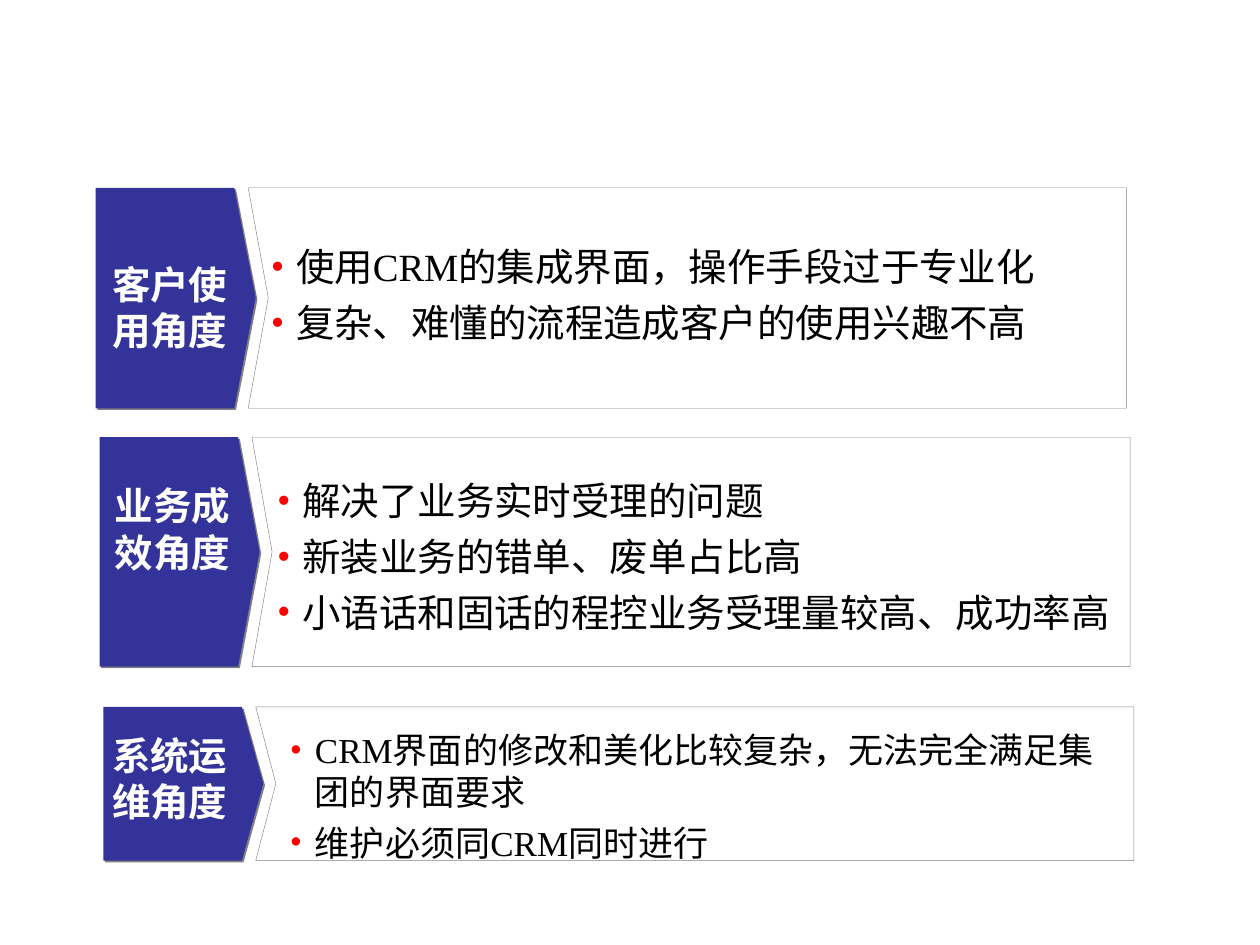
from collections import namedtuple

from lxml import etree
from pptx import Presentation
from pptx.dml.color import RGBColor
from pptx.enum.text import MSO_ANCHOR
from pptx.oxml.ns import qn
from pptx.util import Inches, Pt

BLUE = RGBColor(0x33, 0x33, 0x99)
GREY = RGBColor(0x80, 0x80, 0x80)
RED = RGBColor(0xFF, 0x00, 0x00)
WHITE = RGBColor(0xFF, 0xFF, 0xFF)
BLACK = RGBColor(0x00, 0x00, 0x00)
MIDDLE = MSO_ANCHOR.MIDDLE
LABEL_FONT = "Arial"
POINT_FONT = "Times New Roman"

# Columns, measured from the left edge of a row
SHOULDER = 1.1
TIP = 1.27
PANEL_LEFT = 1.21
NOTCH = 1.37
PANEL_RIGHT = 8.18
INDENT = Inches(0.2)

# Boxes are (left, top, width, height) in inches
Row = namedtuple("Row", "left top height label label_box points points_box size")
ROWS = [
    Row(0.76, 1.49, 1.75, "客户使用角度", (0.89, 2.07, 1.1, 0.73),
        ["使用CRM的集成界面，操作手段过于专业化",
         "复杂、难懂的流程造成客户的使用兴趣不高"],
        (2.15, 1.93, 6.65, 0.81), 22),
    Row(0.79, 3.47, 1.82, "业务成效角度", (0.91, 3.83, 0.98, 0.73),
        ["解决了业务实时受理的问题",
         "新装业务的错单、废单占比高",
         "小语话和固话的程控业务受理量较高、成功率高"],
        (2.2, 3.78, 6.77, 1.27), 22),
    Row(0.82, 5.61, 1.22, "系统运维角度", (0.89, 5.81, 0.94, 0.73),
        ["CRM界面的修改和美化比较复杂，无法完全满足集团的界面要求",
         "维护必须同CRM同时进行"],
        (2.3, 5.78, 6.46, 1.07), 20),
]


def add_outline(page, points):
    corners = [(Inches(x), Inches(y)) for x, y in points]
    builder = page.shapes.build_freeform(*corners[0])
    builder.add_line_segments(corners[1:], close=True)
    shape = builder.convert_to_shape()
    shape.shadow.inherit = False
    return shape


def add_drop_shadow(shape):
    effects = shape._element.spPr.find(qn("a:effectLst"))
    shadow = etree.SubElement(effects, qn("a:outerShdw"), dist=str(Pt(1.4)),
                              dir="2700000", algn="ctr", rotWithShape="0")
    etree.SubElement(shadow, qn("a:srgbClr"), val=str(GREY))


def add_arrow(page, row):
    left, top, bottom = row.left, row.top, row.top + row.height
    shape = add_outline(page, [
        (left, top), (left + SHOULDER, top),
        (left + TIP, top + row.height / 2),
        (left + SHOULDER, bottom), (left, bottom)])
    shape.fill.solid()
    shape.fill.fore_color.rgb = BLUE
    shape.line.fill.background()
    add_drop_shadow(shape)


def add_panel(page, row):
    left, top, bottom = row.left, row.top, row.top + row.height
    shape = add_outline(page, [
        (left + PANEL_RIGHT, top), (left + PANEL_LEFT, top),
        (left + NOTCH, top + row.height / 2),
        (left + PANEL_LEFT, bottom), (left + PANEL_RIGHT, bottom)])
    shape.fill.background()
    shape.line.color.rgb = GREY
    shape.line.width = Pt(0.25)


def add_text_frame(page, bounds):
    frame = page.shapes.add_textbox(*map(Inches, bounds)).text_frame
    frame.word_wrap = True
    frame.vertical_anchor = MIDDLE
    frame.margin_left = frame.margin_right = 0
    frame.margin_top = frame.margin_bottom = 0
    return frame


def add_span(para, text, size, name, color, bold=False):
    span = para.add_run()
    span.text = text
    span.font.size = Pt(size)
    span.font.name = name
    span.font.color.rgb = color
    span.font.bold = bold


def add_bullet(para):
    props = para._p.get_or_add_pPr()
    props.set("marL", str(INDENT))
    props.set("indent", str(-INDENT))
    color = etree.SubElement(props, qn("a:buClr"))
    etree.SubElement(color, qn("a:srgbClr"), val=str(RED))
    etree.SubElement(props, qn("a:buFont"), typeface=POINT_FONT)
    etree.SubElement(props, qn("a:buChar"), char="•")


def add_label(page, row):
    para = add_text_frame(page, row.label_box).paragraphs[0]
    add_span(para, row.label, 22, LABEL_FONT, WHITE, bold=True)


def add_points(page, row):
    frame = add_text_frame(page, row.points_box)
    for index, point in enumerate(row.points):
        para = frame.add_paragraph() if index else frame.paragraphs[0]
        add_bullet(para)
        if index:
            para.space_before = Pt(row.size / 4)
        add_span(para, point, row.size, POINT_FONT, BLACK)


def main():
    deck = Presentation()
    deck.slide_width, deck.slide_height = Inches(10), Inches(7.5)
    page = deck.slides.add_slide(deck.slide_layouts[6])
    for row in ROWS:
        add_arrow(page, row)
        add_label(page, row)
        add_panel(page, row)
        add_points(page, row)
    deck.save("out.pptx")


if __name__ == "__main__":
    main()
